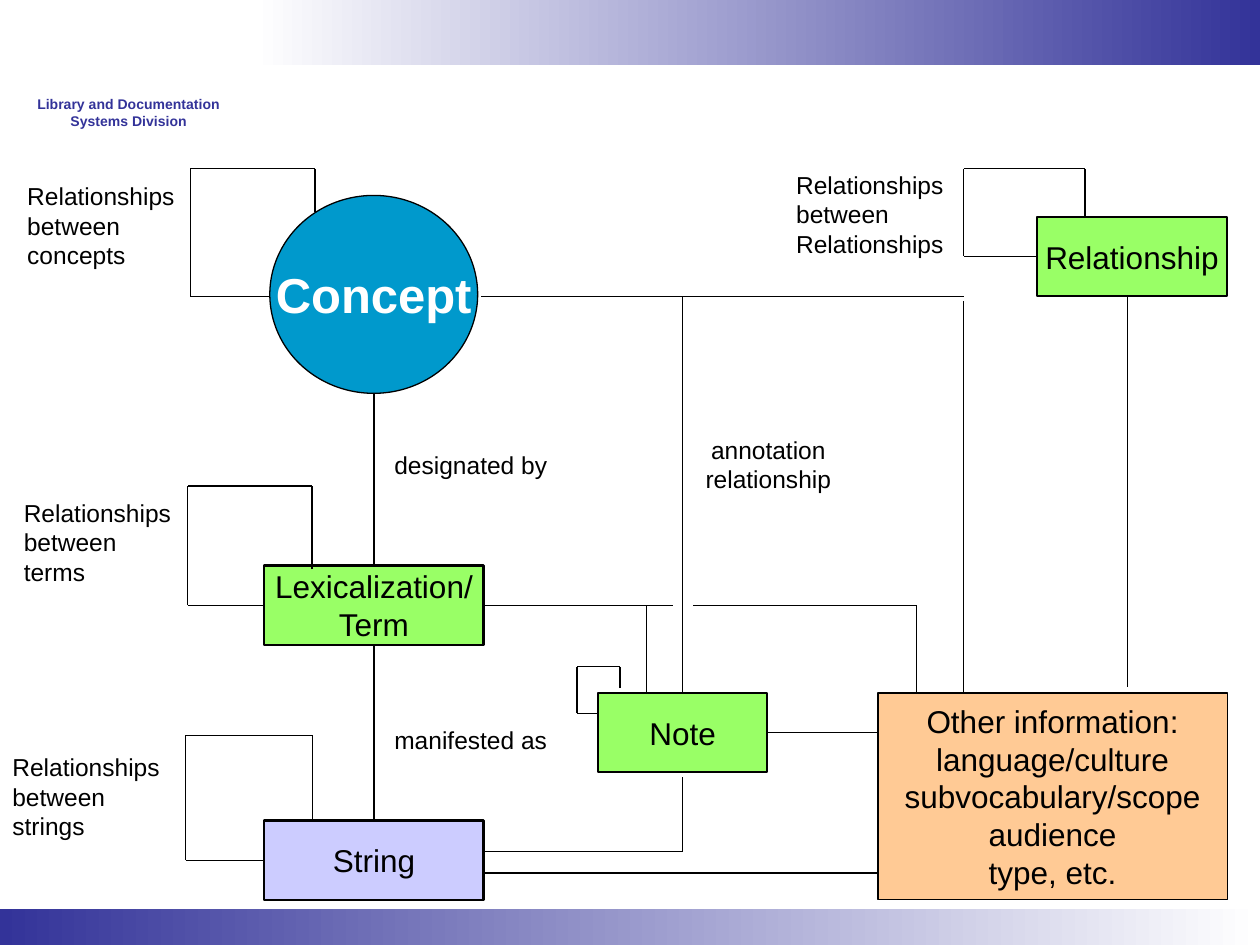
from dataclasses import dataclass
from typing import Optional

import pptx
import pptx.dml.color
import pptx.enum.shapes
import pptx.enum.text
import pptx.oxml
import pptx.util
from pptx.oxml.ns import qn

Cm, Pt = pptx.util.Cm, pptx.util.Pt
SHAPES = pptx.enum.shapes.MSO_SHAPE
ALIGN = pptx.enum.text.PP_ALIGN
TOP, LEFT, BOTTOM, RIGHT = range(4)
BLACK, WHITE, NAVY = "000000", "FFFFFF", "333399"
GREEN, BLUE, LILAC, PEACH = "99FF66", "0099CC", "CCCCFF", "FFCA95"
THIN, THICK = 0.75, 1.25


@dataclass
class Node:
    """A block of the model; lengths in centimetres."""
    text: str
    left: float
    top: float
    width: float
    height: float
    fill: str
    border: float = THICK
    outline: SHAPES = SHAPES.RECTANGLE
    size: int = 18
    color: str = BLACK
    bold: bool = False


@dataclass
class Label:
    text: str
    left: float
    top: float
    width: float
    height: float
    align: ALIGN = ALIGN.LEFT
    wrap: bool = False
    size: int = 14
    color: str = BLACK
    bold: bool = False


@dataclass
class Route:
    """Straight segments through points, optionally joined to (node, side)."""
    points: list[tuple[float, float]]
    start: Optional[tuple[str, int]] = None
    end: Optional[tuple[str, int]] = None
    width: float = THIN


NODES = {
    "concept": Node("Concept", 5.44, 3.94, 4.19, 3.99, BLUE, THIN,
                    SHAPES.OVAL, 28, WHITE, True),
    "term": Node("Lexicalization/\nTerm", 5.33, 11.4, 4.42, 1.6, GREEN),
    "string": Node("String", 5.33, 16.54, 4.42, 1.6, LILAC),
    "other": Node("Other information:\nlanguage/culture\nsubvocabulary/scope\n"
                  "audience\ntype, etc.", 17.7, 13.97, 7.04, 4.17, PEACH, THIN),
    "note": Node("Note", 12.06, 13.97, 3.4, 1.6, GREEN),
    "relationship": Node("Relationship", 20.9, 4.37, 3.84, 1.6, GREEN),
}

DIVISION = Label("Library and Documentation Systems Division", 0.5, 1.8, 4.19, 0.94,
                 ALIGN.CENTER, True, 8, NAVY, True)
LABELS = [
    Label(f"Relationships\nbetween\n{subject}", left, top, 3.48, 2.03)
    for subject, left, top in [("concepts", 0.3, 3.53), ("terms", 0.23, 9.91),
                               ("strings", 0, 15.04), ("Relationships", 15.8, 3.3)]
] + [
    Label("designated by", 7.7, 8.94, 5, 0.86, wrap=True),
    Label("manifested as", 7.7, 14.5, 3.81, 0.86, wrap=True),
    Label("annotation relationship", 13.89, 8.64, 3.2, 1.45, ALIGN.CENTER, True),
]


def loop(right: float, start: float, top: float, left: float,
         bottom: float, entry: float) -> list[tuple[float, float]]:
    """Corners of a line that leaves a node upwards and returns to its left side."""
    return [(right, start), (right, top), (left, top), (left, bottom), (entry, bottom)]


ROUTES = [
    Route(loop(6.35, 4.27, 3.4, 3.84, 5.97, 5.44)),
    Route(loop(6.29, 11.48, 9.8, 3.78, 12.2, 5.33), end=("term", LEFT)),
    Route(loop(6.3, 16.54, 14.82, 3.74, 17.34, 5.33), end=("string", LEFT)),
    Route(loop(12.5, 13.87, 13.44, 11.63, 14.38, 12.06)),
    Route(loop(21.87, 4.37, 3.4, 19.43, 5.17, 20.9), end=("relationship", LEFT)),
    Route([(7.54, 7.93), (7.54, 11.4)], end=("term", TOP), width=THICK),
    Route([(7.54, 13), (7.54, 16.54)], ("term", BOTTOM), ("string", TOP), THICK),
    Route([(9.7, 5.97), (19.43, 5.97)]),
    Route([(19.43, 6.07), (19.43, 13.97)]),
    Route([(13.76, 5.97), (13.76, 13.97)], end=("note", TOP)),
    Route([(9.75, 12.2), (13.56, 12.2)], start=("term", RIGHT)),
    Route([(13.03, 12.2), (13.03, 13.97)]),
    Route([(13.97, 12.2), (18.47, 12.2), (18.47, 13.97)]),
    Route([(15.46, 14.77), (17.7, 14.77)], start=("note", RIGHT)),
    Route([(9.75, 17.6), (17.7, 17.6)]),
    Route([(9.75, 17.17), (13.76, 17.17), (13.76, 15.67)]),
    Route([(22.73, 5.97), (22.73, 13.84)]),
]


def rgb(color: str) -> pptx.dml.color.RGBColor:
    return pptx.dml.color.RGBColor.from_string(color)


def write(frame, text: str, align: ALIGN, size: int, color: str, bold: bool) -> None:
    frame.text = text
    for paragraph in frame.paragraphs:
        paragraph.alignment = align
        paragraph.font.name = "Arial"
        paragraph.font.size = Pt(size)
        paragraph.font.bold = bold
        paragraph.font.color.rgb = rgb(color)


def add_block(slide, outline: SHAPES, left: float, top: float,
              width: float, height: float):
    block = slide.shapes.add_shape(outline, Cm(left), Cm(top), Cm(width), Cm(height))
    block.shadow.inherit = False
    block.line.fill.background()
    return block


def add_band(slide, left: float, top: float, width: float, height: float,
             right_color: str, left_color: str) -> None:
    band = add_block(slide, SHAPES.RECTANGLE, left, top, width, height)
    band.fill.gradient()
    band.fill.gradient_angle = 180
    for stop, position, color in zip(band.fill.gradient_stops, (0, 1),
                                     (right_color, left_color)):
        stop.position = position
        stop.color.rgb = rgb(color)


def add_node(slide, node: Node):
    block = add_block(slide, node.outline, node.left, node.top, node.width, node.height)
    block.fill.solid()
    block.fill.fore_color.rgb = rgb(node.fill)
    block.line.color.rgb = rgb(BLACK)
    block.line.width = Pt(node.border)
    block.text_frame.word_wrap = False
    block.text_frame.vertical_anchor = pptx.enum.text.MSO_ANCHOR.MIDDLE
    write(block.text_frame, node.text, ALIGN.CENTER, node.size, node.color, node.bold)
    return block


def add_label(slide, label: Label) -> None:
    box = slide.shapes.add_textbox(Cm(label.left), Cm(label.top),
                                   Cm(label.width), Cm(label.height))
    box.text_frame.word_wrap = label.wrap
    write(box.text_frame, label.text, label.align, label.size, label.color, label.bold)


def add_route(slide, route: Route, blocks: dict) -> None:
    segments = []
    for (x1, y1), (x2, y2) in zip(route.points, route.points[1:]):
        segment = slide.shapes.add_connector(
            pptx.enum.shapes.MSO_CONNECTOR.STRAIGHT, Cm(x1), Cm(y1), Cm(x2), Cm(y2))
        segment.line.color.rgb = rgb(BLACK)
        segment.line.width = Pt(route.width)
        properties = segment._element.spPr
        properties.append(properties.makeelement(qn("a:effectLst"), {}))
        segments.append(segment)
    if route.start:
        name, side = route.start
        segments[0].begin_connect(blocks[name], side)
    if route.end:
        name, side = route.end
        segments[-1].end_connect(blocks[name], side)


def main() -> None:
    deck = pptx.Presentation()
    deck.slide_width, deck.slide_height = Cm(25.4), Cm(19.05)
    slide = deck.slides.add_slide(deck.slide_layouts[6])

    add_band(slide, 5.1, 0, 20.3, 1.32, NAVY, WHITE)
    add_band(slide, 0, 18.33, 25.4, 0.72, WHITE, NAVY)
    add_label(slide, DIVISION)
    panel = add_block(slide, SHAPES.RECTANGLE, 0, 2.67, 25.4, 15.6)
    panel.fill.solid()
    panel.fill.fore_color.rgb = rgb(WHITE)

    for label in LABELS:
        add_label(slide, label)
    blocks = {name: add_node(slide, node) for name, node in NODES.items()}
    for route in ROUTES:
        add_route(slide, route, blocks)
    deck.save("out.pptx")


if __name__ == "__main__":
    main()
